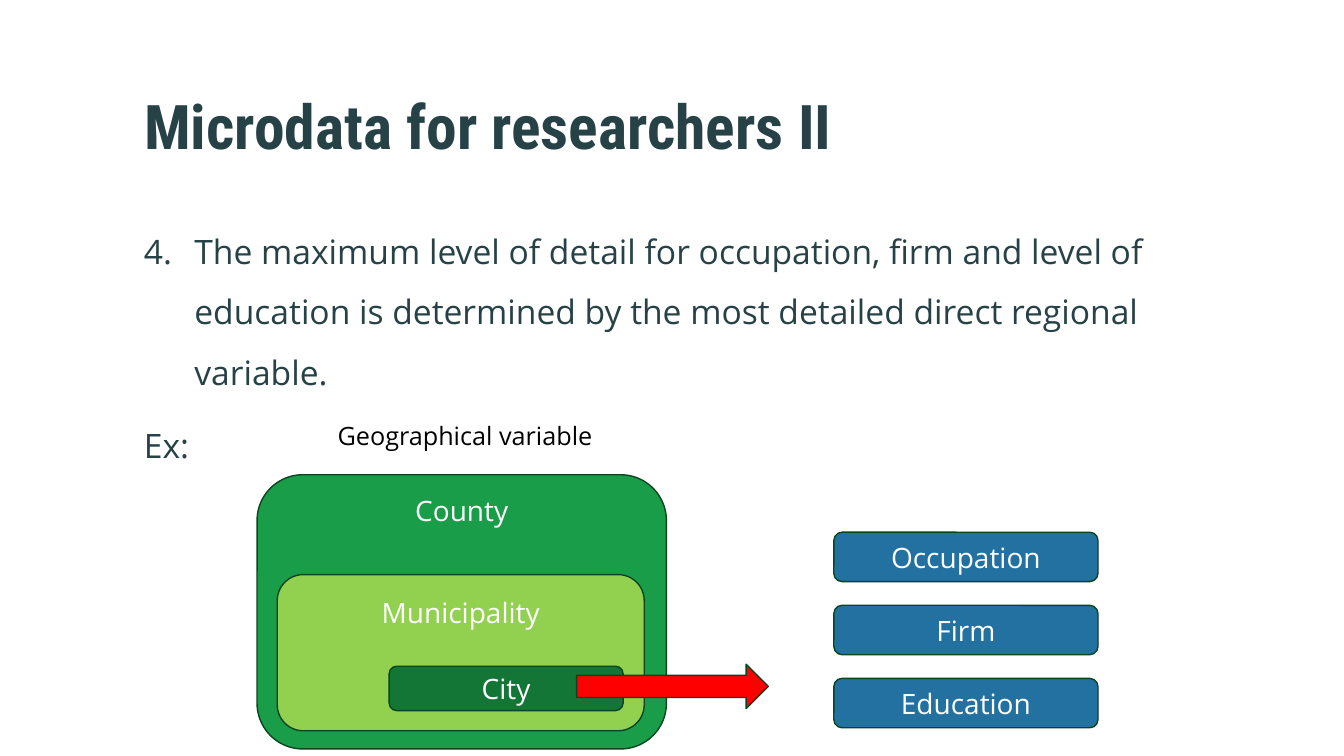
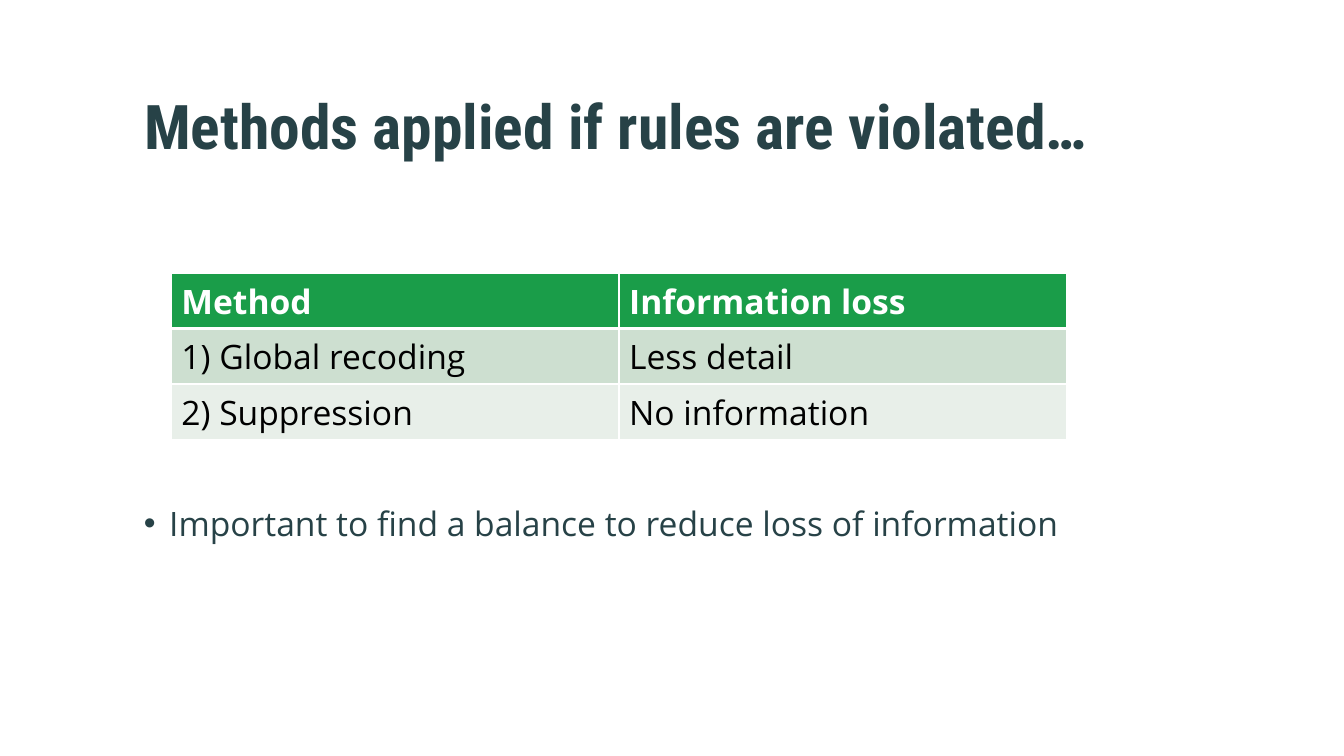
from dataclasses import dataclass

from lxml import etree
from pptx import Presentation
from pptx import util as u
from pptx.dml.color import RGBColor
from pptx.enum import shapes, text
from pptx.oxml.ns import qn


@dataclass(frozen=True)
class Theme:
    ink: str = "274247"
    black: str = "000000"
    white: str = "FFFFFF"
    edge: str = "0B4520"
    green: str = "1A9D49"
    lime: str = "92D050"
    dark: str = "137637"
    blue: str = "2371A0"
    red: str = "FF0000"
    bands: tuple = ("CDDFD0", "E8EFE9")
    head: str = "Roboto Condensed"
    body: str = "Open Sans"
    title: int = 44
    large: int = 24
    label: int = 20
    small: int = 18


T = Theme()
A = text.PP_ALIGN
V = text.MSO_ANCHOR
S = shapes.MSO_SHAPE


def write(frame, *lines, size=T.large, font=T.body, color=T.ink, bold=False,
          align=A.LEFT, anchor=V.TOP, gap=None, after=None):
    """Fill a text frame with one paragraph per line."""
    frame.word_wrap = True
    frame.vertical_anchor = anchor
    for i, line in enumerate(lines):
        para = frame.add_paragraph() if i else frame.paragraphs[0]
        para.alignment = align
        if gap:
            para.line_spacing = gap
        if after:
            para.space_after = u.Pt(after)
        run = para.add_run()
        run.text = line
        run.font.size = u.Pt(size)
        run.font.name = font
        run.font.bold = bold
        run.font.color.rgb = RGBColor.from_string(color)
    return frame.paragraphs


def mark(para, indent, tag, **attrs):
    """Give a paragraph a hanging bullet or number."""
    props = para._p.get_or_add_pPr()
    props.set("marL", str(u.Inches(indent)))
    props.set("indent", str(-u.Inches(indent)))
    etree.SubElement(props, qn("a:buFont"), typeface="Arial" if tag == "a:buChar" else T.body)
    etree.SubElement(props, qn(tag), **attrs)


deck = Presentation()
deck.slide_width, deck.slide_height = u.Inches(13.33), u.Inches(7.5)

# Slides with their titles
pages = []
for name in ("Microdata for researchers II", "Methods applied if rules are violated…"):
    page = deck.slides.add_slide(deck.slide_layouts[5])
    title = page.shapes.title
    title.left, title.top = u.Inches(1.33), u.Inches(0.6)
    title.width, title.height = u.Inches(10.56), u.Inches(1.43)
    frame = title.text_frame
    frame.auto_size = text.MSO_AUTO_SIZE.NONE
    frame.margin_left = frame.margin_right = u.Inches(0.1)
    frame.margin_top, frame.margin_bottom = 0, u.Inches(0.05)
    write(frame, name, size=T.title, font=T.head, bold=True, anchor=V.MIDDLE, gap=0.9)
    pages.append(page)
levels, methods = pages

# Rule and example
body = levels.shapes.add_textbox(u.Inches(1.33), u.Inches(2.04), u.Inches(10.56), u.Inches(4.35))
rule = write(body.text_frame,
             "The maximum level of detail for occupation, firm and level of education "
             "is determined by the most detailed direct regional variable.",
             "Ex:", gap=1.5, after=9)[0]
mark(rule, 0.5, "a:buAutoNum", type="arabicPeriod", startAt="4")

# Nested regions, detail variables and arrow
blocks = [
    ("County", S.ROUNDED_RECTANGLE, (2.55, 4.71, 4.06, 2.72), T.green, V.TOP, 0.05),
    ("Municipality", S.ROUNDED_RECTANGLE, (2.75, 5.7, 3.64, 1.55), T.lime, V.TOP, 0.13),
    ("City", S.ROUNDED_RECTANGLE, (3.86, 6.61, 2.32, 0.44), T.dark, V.MIDDLE, 0.05),
]
for i, name in enumerate(("Occupation", "Firm", "Education")):
    spot = (8.27, 5.28 + i * 0.725, 2.62, 0.49)
    blocks.append((name, S.ROUNDED_RECTANGLE, spot, T.blue, V.MIDDLE, 0.05))
blocks.append((None, S.RIGHT_ARROW, (5.72, 6.59, 1.9, 0.44), T.red, V.MIDDLE, 0.05))

for name, kind, spot, fill, anchor, inset in blocks:
    block = levels.shapes.add_shape(kind, *map(u.Inches, spot))
    block.shadow.inherit = False
    block.fill.solid()
    block.fill.fore_color.rgb = RGBColor.from_string(fill)
    block.line.color.rgb = RGBColor.from_string(T.edge)
    block.line.width = u.Pt(1)
    if name:
        block.text_frame.margin_top = u.Inches(inset)
        write(block.text_frame, name, size=T.label, color=T.white,
              align=A.CENTER, anchor=anchor)

label = levels.shapes.add_textbox(u.Inches(3.25), u.Inches(4.12), u.Inches(3.14), u.Inches(0.4))
write(label.text_frame, "Geographical variable", size=T.small, color=T.black)

# Closing point
point = methods.shapes.add_textbox(u.Inches(1.33), u.Inches(4.74), u.Inches(10.56), u.Inches(0.9))
note = write(point.text_frame, "Important to find a balance to reduce loss of information",
             gap=1.5, after=9)[0]
mark(note, 0.25, "a:buChar", char="•")

# Table of methods
rows = [
    ("Method", "Information loss"),
    ("1) Global recoding", "Less detail"),
    ("2) Suppression", "No information"),
]
grid = methods.shapes.add_table(3, 2, u.Inches(1.7), u.Inches(2.71),
                                u.Inches(8.88), u.Inches(1.65)).table
for r, row in enumerate(rows):
    for c, entry in enumerate(row):
        cell = grid.cell(r, c)
        write(cell.text_frame, entry, color=T.black if r else T.white, bold=r == 0)
        # Borders precede the fill in the cell properties
        props = cell._tc.get_or_add_tcPr()
        for side in "LRTB":
            heavy = (r, side) in ((0, "B"), (1, "T"))
            edge = etree.SubElement(props, qn(f"a:ln{side}"), w=str(u.Pt(3 if heavy else 1)))
            paint = etree.SubElement(edge, qn("a:solidFill"))
            etree.SubElement(paint, qn("a:srgbClr"), val=T.white)
        cell.fill.solid()
        cell.fill.fore_color.rgb = RGBColor.from_string(T.bands[r - 1] if r else T.green)

deck.save("out.pptx")
